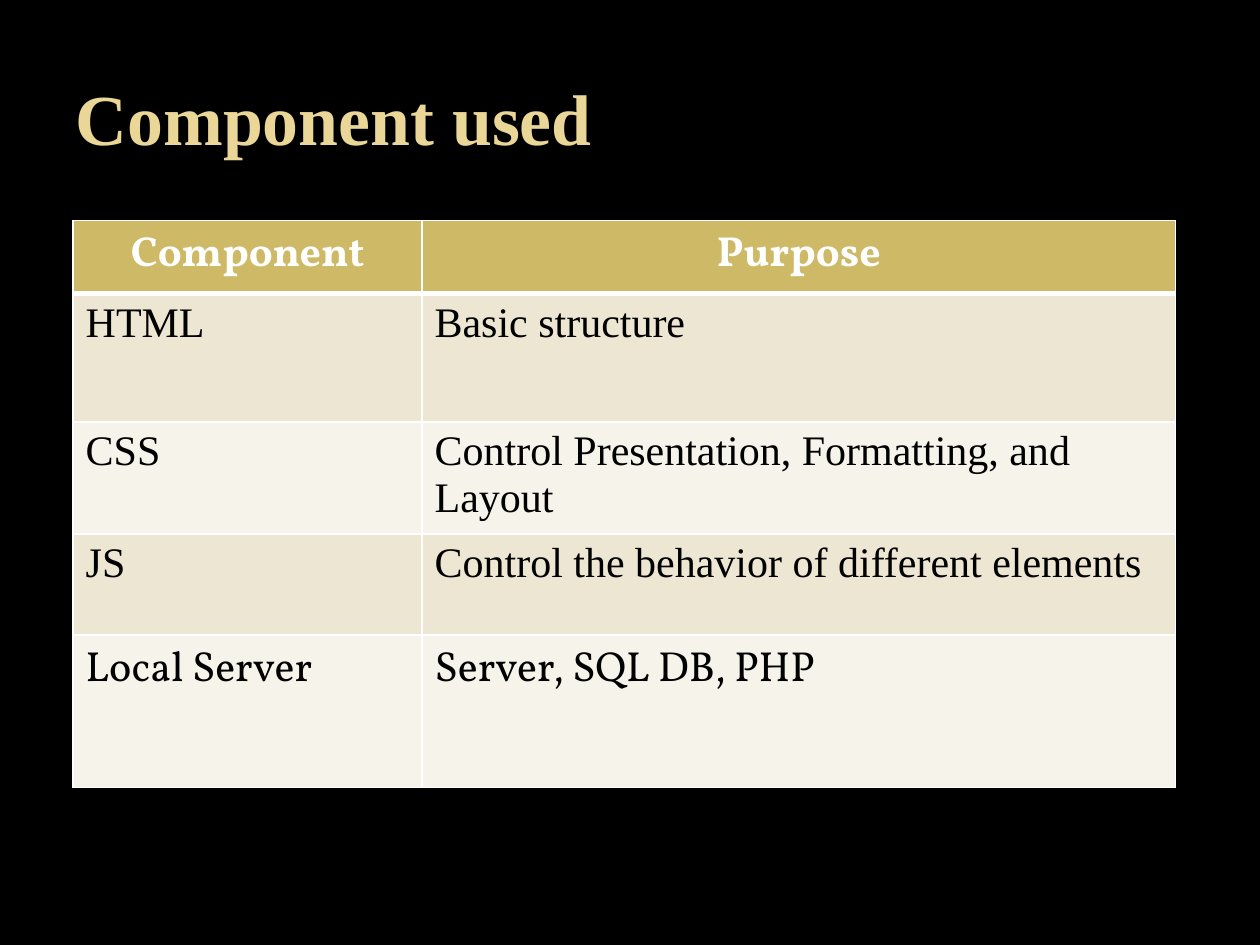
from dataclasses import dataclass

from lxml.etree import SubElement
from pptx import Presentation
from pptx.dml.color import RGBColor
from pptx.enum.text import MSO_ANCHOR, MSO_AUTO_SIZE, PP_ALIGN
from pptx.oxml.ns import qn
from pptx.util import Inches, Pt


@dataclass(frozen=True)
class Theme:
    background: str = "000000"
    title: str = "EAD696"
    header: str = "CEB966"
    bands: tuple = ("EDE6D3", "F6F3EA")
    light: str = "FFFFFF"
    dark: str = "000000"
    serif: str = "Times New Roman"
    accent_font: str = "Vollkorn"
    title_size: int = 41
    table_size: int = 24
    thin: int = 1
    thick: int = 3


THEME = Theme()
COLUMN_WIDTHS = (2.77, 5.98)
ROW_HEIGHTS = (0.58, 1.02, 0.89, 0.8, 1.21)
COMPONENTS = (
    ("Component", "Purpose"),
    ("HTML", "Basic structure"),
    ("CSS", "Control Presentation, Formatting, and Layout"),
    ("JS", "Control the behavior of different elements"),
    ("Local Server", "Server, SQL DB, PHP"),
)


def write_text(frame, text, *, font, size, color, bold=False, align=PP_ALIGN.LEFT):
    para = frame.paragraphs[0]
    para.alignment = align
    span = para.add_run()
    span.text = text
    span.font.name = font
    span.font.size = Pt(size)
    span.font.bold = bold
    span.font.color.rgb = RGBColor.from_string(color)


def set_borders(cell, **widths):
    properties = cell._tc.get_or_add_tcPr()
    for side in ("L", "R", "T", "B"):
        width = widths.get(side, THEME.thin)
        line = SubElement(properties, qn(f"a:ln{side}"), w=str(Pt(width)))
        fill = SubElement(line, qn("a:solidFill"))
        SubElement(fill, qn("a:srgbClr"), val=THEME.light)


def fill_cell(cell, color):
    cell.fill.solid()
    cell.fill.fore_color.rgb = RGBColor.from_string(color)


def add_title(page, text):
    title = page.shapes.title
    title.left, title.top = Inches(0.5), Inches(0.3)
    title.width, title.height = Inches(9), Inches(1.25)
    frame = title.text_frame
    frame.word_wrap = True
    frame.auto_size = MSO_AUTO_SIZE.NONE
    frame.vertical_anchor = MSO_ANCHOR.MIDDLE
    write_text(frame, text, font=THEME.serif, size=THEME.title_size,
               color=THEME.title, bold=True)


def add_component_table(page):
    table = page.shapes.add_table(
        len(COMPONENTS), len(COLUMN_WIDTHS), Inches(0.58), Inches(1.75),
        Inches(sum(COLUMN_WIDTHS)), Inches(sum(ROW_HEIGHTS))).table
    for column, width in zip(table.columns, COLUMN_WIDTHS):
        column.width = Inches(width)
    for row, height in zip(table.rows, ROW_HEIGHTS):
        row.height = Inches(height)

    last_row = len(COMPONENTS) - 1
    for row_index, texts in enumerate(COMPONENTS):
        is_header = row_index == 0
        for column_index, text in enumerate(texts):
            cell = table.cell(row_index, column_index)
            set_borders(cell,
                        T=THEME.thick if row_index == 1 else THEME.thin,
                        B=THEME.thick if is_header else THEME.thin)
            fill_cell(cell, THEME.header if is_header else THEME.bands[(row_index - 1) % 2])
            write_text(cell.text_frame, text,
                       font=THEME.accent_font if row_index in (0, last_row) else THEME.serif,
                       size=THEME.table_size,
                       color=THEME.light if is_header else THEME.dark,
                       bold=is_header,
                       align=PP_ALIGN.CENTER if is_header else PP_ALIGN.LEFT)


def main():
    deck = Presentation()
    deck.slide_width, deck.slide_height = Inches(10), Inches(7.5)
    page = deck.slides.add_slide(deck.slide_layouts[5])
    page.background.fill.solid()
    page.background.fill.fore_color.rgb = RGBColor.from_string(THEME.background)
    add_title(page, "Component used")
    add_component_table(page)
    deck.save("out.pptx")


if __name__ == "__main__":
    main()
